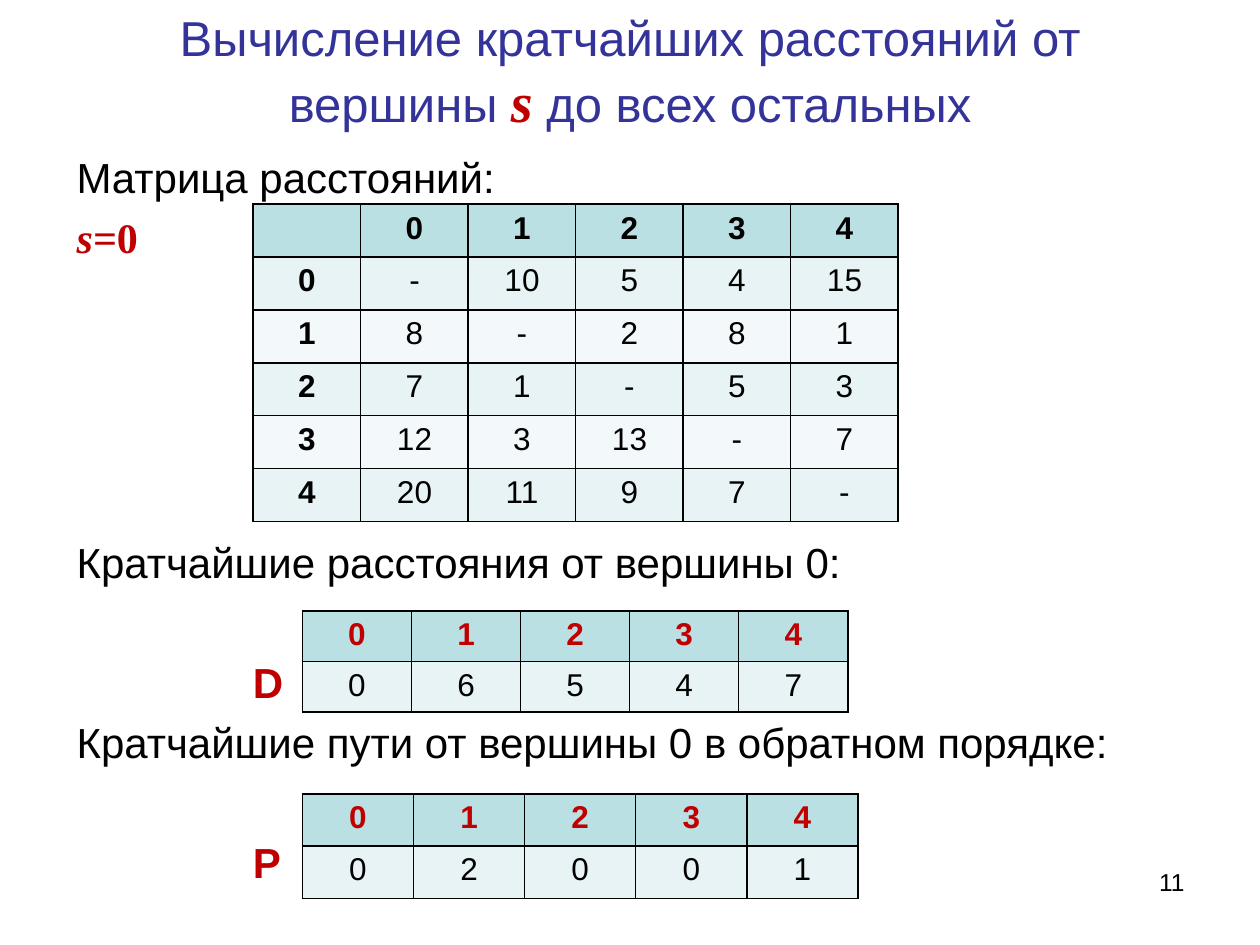
from lxml import etree
from pptx import Presentation
from pptx import util as u
from pptx.dml.color import RGBColor
from pptx.enum import text
from pptx.oxml import ns

COLUMNS, ROWS = 100, 75
WIDTH, HEIGHT = u.Inches(10), u.Inches(7.5)
BLACK, RED, BLUE = "000000", "C00000", "333399"
HEADER, BANDS = "BBE0E3", ("E7F3F4", "F3F9FA")
SANS, SERIF = "Arial", "Times New Roman"
CENTER, LEFT, RIGHT = (text.PP_ALIGN.CENTER, text.PP_ALIGN.LEFT,
                       text.PP_ALIGN.RIGHT)
LINE_GAP, LABEL_GAP, MATRIX_GAP = 5.5, 39.8, 157
LABEL_INDENT = 1.4


def color(value):
    return RGBColor.from_string(value)


def place(left, top, width, height):
    column, row = WIDTH / COLUMNS, HEIGHT / ROWS
    return (round(left * column), round(top * row),
            round(width * column), round(height * row))


def add_span(para, words, size, tint=BLACK, face=SANS, bold=False, italic=False):
    span = para.add_run()
    span.text = words
    font = span.font
    font.size, font.name = u.Pt(size), face
    font.bold, font.italic = bold, italic
    font.color.rgb = color(tint)


def add_box(page, area, anchor=text.MSO_ANCHOR.TOP):
    frame = page.shapes.add_textbox(*place(*area)).text_frame
    frame.word_wrap = True
    frame.vertical_anchor = anchor
    return frame


def fill_para(para, spans, align=LEFT, gap=0, indent=0):
    para.alignment = align
    para.space_before = u.Pt(gap)
    if indent:
        para._p.get_or_add_pPr().set("marL", str(u.Inches(indent)))
    for words, style in spans:
        add_span(para, words, **style)


def add_borders(cell):
    properties = cell._tc.get_or_add_tcPr()
    for index, side in enumerate(("lnL", "lnR", "lnT", "lnB")):
        line = etree.Element(ns.qn(f"a:{side}"), w=str(u.Pt(1)))
        solid = etree.SubElement(line, ns.qn("a:solidFill"))
        etree.SubElement(solid, ns.qn("a:srgbClr"), val=BLACK)
        properties.insert(index, line)


def add_grid(page, area, values, header_tint=BLACK, row_names=False):
    shape = page.shapes.add_table(len(values), len(values[0]), *place(*area))
    table = shape.table
    table.first_row = table.horz_banding = False
    for row, line in enumerate(values):
        for column, value in enumerate(line):
            cell = table.cell(row, column)
            cell.fill.solid()
            cell.fill.fore_color.rgb = color(BANDS[(row - 1) % 2] if row else HEADER)
            add_borders(cell)
            para = cell.text_frame.paragraphs[0]
            para.alignment = CENTER
            if value:
                add_span(para, value, 18, BLACK if row else header_tint,
                         bold=row == 0 or row_names and column == 0)


def add_title(page):
    frame = add_box(page, (5.9, 0.5, 88.2, 10.2), text.MSO_ANCHOR.MIDDLE)
    plain = dict(size=28, tint=BLUE)
    fill_para(frame.paragraphs[0], [
        ("Вычисление кратчайших расстояний от вершины ", plain),
        ("s", dict(size=32, tint=RED, face=SERIF, bold=True, italic=True)),
        (" до всех остальных", plain),
    ], CENTER)


def add_body(page):
    plain = dict(size=24)
    label = dict(size=24, tint=RED, bold=True)
    source = dict(label, face=SERIF)
    lines = [
        ([("Матрица расстояний:", plain)], LINE_GAP, 0),
        ([("s=", dict(source, italic=True)), ("0", source)], LINE_GAP, 0),
        ([("Кратчайшие расстояния от вершины 0:", plain)], MATRIX_GAP, 0),
        ([("D", label)], LABEL_GAP, LABEL_INDENT),
        ([("Кратчайшие пути от вершины 0 в обратном порядке:", plain)], LINE_GAP, 0),
        ([("P", label)], LABEL_GAP, LABEL_INDENT),
    ]
    frame = add_box(page, (5.1, 11.5, 90, 61.4))
    for index, (spans, gap, indent) in enumerate(lines):
        para = frame.add_paragraph() if index else frame.paragraphs[0]
        fill_para(para, spans, gap=gap, indent=indent)


def add_page_number(page):
    frame = add_box(page, (71.7, 68.3, 23.3, 5.2))
    fill_para(frame.paragraphs[0], [("11", dict(size=14))], RIGHT)


def main():
    deck = Presentation()
    deck.slide_width, deck.slide_height = WIDTH, HEIGHT
    page = deck.slides.add_slide(deck.slide_layouts[6])
    vertices = ["0", "1", "2", "3", "4"]
    distances = ["- 10 5 4 15", "8 - 2 8 1", "7 1 - 5 3", "12 3 13 - 7", "20 11 9 7 -"]
    matrix = [["", *vertices]]
    matrix += [[name, *line.split()] for name, line in zip(vertices, distances)]
    add_title(page)
    add_body(page)
    add_grid(page, (20.1, 16.2, 51.2, 25.2), matrix, row_names=True)
    add_grid(page, (24, 48.5, 43.3, 8), [vertices, "0 6 5 4 7".split()], RED)
    add_grid(page, (24, 63, 44.1, 8.3), [vertices, "0 2 0 0 1".split()], RED)
    add_page_number(page)
    deck.save("out.pptx")


if __name__ == "__main__":
    main()
